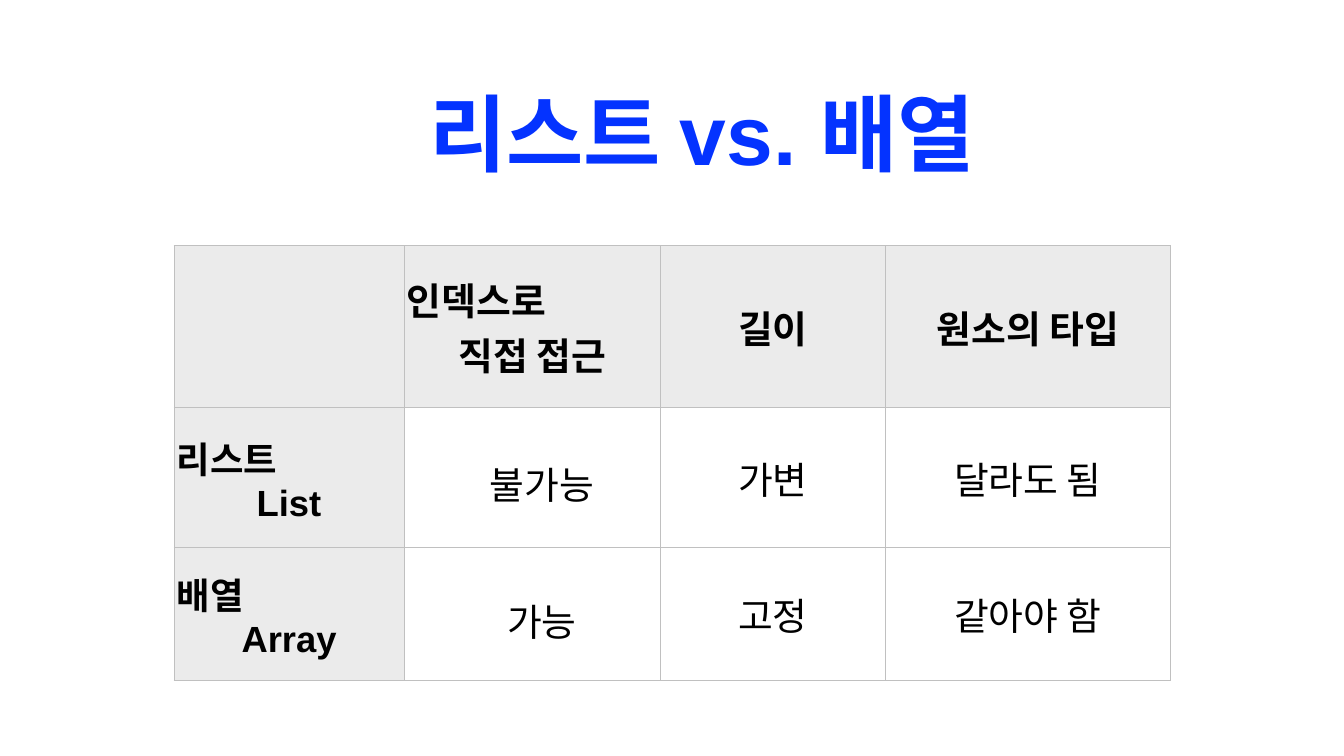
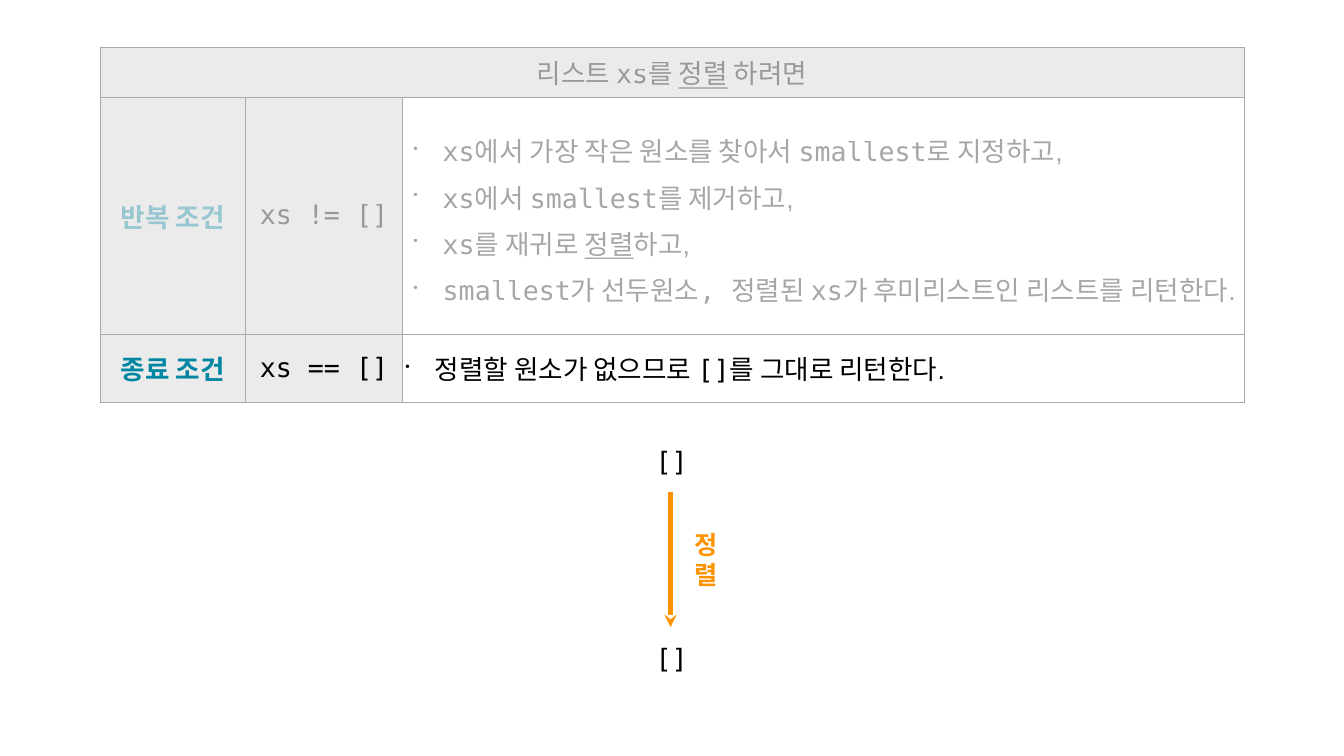
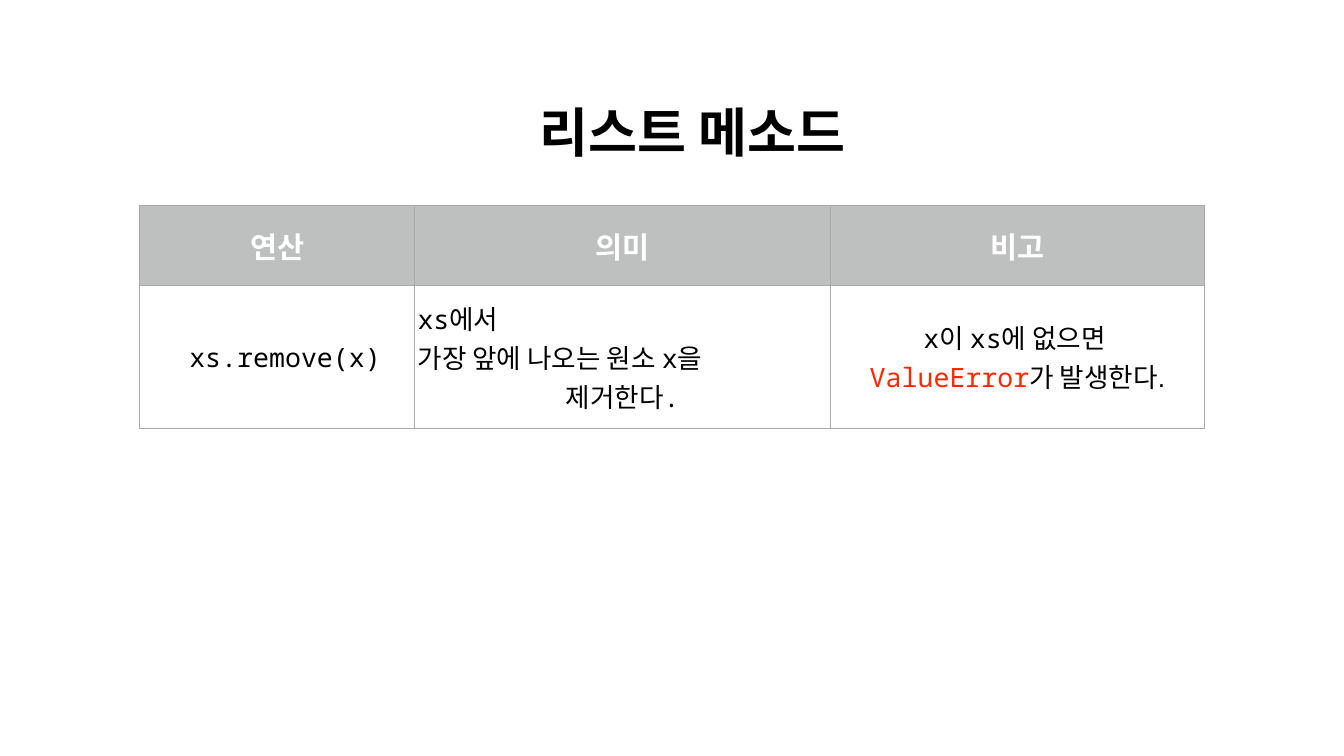
from lxml.etree import SubElement
from pptx import Presentation
from pptx.dml.color import RGBColor
from pptx.enum.shapes import MSO_CONNECTOR
from pptx.enum.text import MSO_ANCHOR, MSO_AUTO_SIZE, PP_ALIGN
from pptx.oxml.ns import qn
from pptx.util import Pt

BLACK = RGBColor(0x00, 0x00, 0x00)
WHITE = RGBColor(0xFF, 0xFF, 0xFF)
BLUE = RGBColor(0x04, 0x33, 0xFF)
TEAL = RGBColor(0x00, 0x86, 0xA2)
ORANGE = RGBColor(0xFE, 0x93, 0x01)
RED = RGBColor(0xFF, 0x26, 0x00)
PALE_GREY = RGBColor(0xEB, 0xEB, 0xEB)
HEADER_GREY = RGBColor(0xBE, 0xC0, 0xBF)
LIGHT_BORDER = RGBColor(0xC0, 0xC0, 0xC0)
DARK_BORDER = RGBColor(0xA9, 0xA9, 0xA9)

SANS = "Arial"
CODE = "DejaVu Sans Mono"
MONO = "Noto Sans Mono"


def write(frame, lines, size, color=BLACK, bold=False, align=PP_ALIGN.CENTER, faded=False):
    """Fill frame with lines, each a list of (text, font) runs."""
    for number, line in enumerate(lines):
        paragraph = frame.add_paragraph() if number else frame.paragraphs[0]
        paragraph.alignment = align
        for text, font in line:
            run = paragraph.add_run()
            run.text = text
            run.font.name = font
            run.font.size = Pt(size)
            run.font.bold = bold
            run.font.color.rgb = color
            if faded:
                rgb = next(run._r.rPr.iter(qn("a:srgbClr")))
                SubElement(rgb, qn("a:alpha"), val="34000")


def place_table(slide, left, top, widths, heights, border):
    """Add a white table with 1 pt borders and return it."""
    table = slide.shapes.add_table(len(heights), len(widths), Pt(left), Pt(top),
                                   Pt(sum(widths)), Pt(sum(heights))).table
    table.first_row = table.horz_banding = False
    for column, width in zip(table.columns, widths):
        column.width = Pt(width)
    for row, height in zip(table.rows, heights):
        row.height = Pt(height)
    for cell in table.iter_cells():
        cell.margin_left = cell.margin_right = cell.margin_top = cell.margin_bottom = Pt(4)
        cell.vertical_anchor = MSO_ANCHOR.MIDDLE
        for side in ("a:lnL", "a:lnR", "a:lnT", "a:lnB"):
            edge = SubElement(cell._tc.get_or_add_tcPr(), qn(side), w=str(Pt(1)))
            SubElement(SubElement(edge, qn("a:solidFill")), qn("a:srgbClr"), val=str(border))
        cell.fill.solid()
        cell.fill.fore_color.rgb = WHITE
    return table


deck = Presentation()
deck.slide_width, deck.slide_height = Pt(1920), Pt(1080)
comparison, sorting, methods = [deck.slides.add_slide(deck.slide_layouts[6]) for _ in range(3)]

# Titles
for slide, text, size, color, box in [
    (comparison, "리스트 vs. 배열", 120, BLUE, (572.4, 102.2, 860.4, 162.7)),
    (methods, "리스트 메소드", 76, BLACK, (737.3, 131, 504, 105.8)),
]:
    title = slide.shapes.add_textbox(*map(Pt, box))
    title.fill.solid()
    title.fill.fore_color.rgb = WHITE
    frame = title.text_frame
    frame.word_wrap = True
    frame.vertical_anchor = MSO_ANCHOR.BOTTOM
    frame.margin_left = frame.margin_right = frame.margin_top = frame.margin_bottom = Pt(4)
    write(frame, [[(text, SANS)]], size, color, bold=True)

# Slide 1: list against array
traits = place_table(comparison, 248.4, 350.6, [329, 365.8, 321.8, 406.8],
                     [231.8, 200.2, 189.4], LIGHT_BORDER)
trait_rows = [
    ["", "인덱스로\n직접 접근", "길이", "원소의 타입"],
    ["리스트\nList", "불가능", "가변", "달라도 됨"],
    ["배열\nArray", "가능", "고정", "같아야 함"],
]
for r, row in enumerate(trait_rows):
    for c, text in enumerate(row):
        cell = traits.cell(r, c)
        is_header = r == 0 or c == 0
        if is_header:
            cell.fill.fore_color.rgb = PALE_GREY
        if text:
            write(cell.text_frame, [[(line, SANS)] for line in text.split("\n")],
                  54 if c else 52, bold=is_header)
        paragraphs = cell.text_frame.paragraphs
        for paragraph in paragraphs[:-1]:
            paragraph.alignment = PP_ALIGN.LEFT
        if r and c == 1:
            paragraphs[0].line_spacing = 1.2
            paragraphs[0]._p.get_or_add_pPr().set("indent", str(Pt(27.4)))

# Slide 2: recursive sorting; the middle row holds five lines
rules = place_table(sorting, 142.6, 67.7, [208, 224.6, 1201.7], [71.3, 338.4, 97.2], DARK_BORDER)
rules.cell(0, 0).merge(rules.cell(0, 2))
heading = [("리스트 ", MONO), ("xs", CODE), ("를 ", MONO), ("정렬", MONO), (" 하려면", MONO)]
write(rules.cell(0, 0).text_frame, [heading], 38, faded=True)
rules.cell(0, 0).fill.fore_color.rgb = PALE_GREY

repeat_steps = [
    [("xs", CODE), ("에서 가장 작은 원소를 찾아서 ", SANS), ("smallest", CODE), ("로 지정하고,", SANS)],
    [("xs", CODE), ("에서 ", SANS), ("smallest", CODE), ("를 ", MONO), ("제거하고,", SANS)],
    [("xs", CODE), ("를 재귀로 ", SANS), ("정렬", SANS), ("하고,", SANS)],
    [("smallest가 선두원소, 정렬된 xs가 후미리스트인 리스트를", CODE), (" 리턴한다.", SANS)],
]
stop_steps = [[("정렬할 원소가 없으므로 ", SANS), ("[]", CODE), ("를 그대로 리턴한다.", SANS)]]
for r, condition, test, steps, margin, spacing, faded in [
    (1, "반복 조건", "xs != []", repeat_steps, 53.3, 1.2, True),
    (2, "종료 조건", "xs == []", stop_steps, 41.8, 1.0, False),
]:
    condition_cell, test_cell, steps_cell = [rules.cell(r, c) for c in range(3)]
    for cell in (condition_cell, test_cell):
        cell.fill.fore_color.rgb = PALE_GREY
    write(condition_cell.text_frame, [[(condition, SANS)]], 38, TEAL, bold=True, faded=faded)
    write(test_cell.text_frame, [[(test, CODE)]], 38, faded=faded)
    write(steps_cell.text_frame, steps, 38, align=PP_ALIGN.LEFT, faded=faded)
    for step in steps_cell.text_frame.paragraphs:
        step.line_spacing = spacing
        properties = step._p.get_or_add_pPr()
        properties.set("marL", str(Pt(margin)))
        properties.set("indent", str(-Pt(41.8)))
        SubElement(properties, qn("a:buSzPct"), val="50000")
        SubElement(properties, qn("a:buChar"), char="•")

for cell in rules.iter_cells():
    for paragraph in cell.text_frame.paragraphs:
        for run in paragraph.runs:
            if run.text == "정렬":
                run.font.underline = True

for text, font, size, color, bold, wraps, box in [
    ("[]", CODE, 38, BLACK, False, False, (931, 630.7, 58.3, 56.2)),
    ("정렬", SANS, 36, ORANGE, True, True, (986.4, 772.6, 74.9, 54)),
    ("[]", CODE, 38, BLACK, False, False, (931, 912.2, 58.3, 56.2)),
]:
    frame = sorting.shapes.add_textbox(*map(Pt, box)).text_frame
    frame.word_wrap = wraps
    frame.auto_size = MSO_AUTO_SIZE.NONE if wraps else MSO_AUTO_SIZE.SHAPE_TO_FIT_TEXT
    frame.vertical_anchor = MSO_ANCHOR.MIDDLE
    frame.margin_left = frame.margin_right = frame.margin_top = frame.margin_bottom = Pt(5.6)
    write(frame, [[(text, font)]], size, color, bold, PP_ALIGN.LEFT)

sort_arrow = sorting.shapes.add_connector(MSO_CONNECTOR.STRAIGHT, Pt(958), Pt(703.4),
                                          Pt(958), Pt(895.7))
sort_arrow.line.color.rgb = ORANGE
sort_arrow.line.width = Pt(6)
SubElement(sort_arrow.line._get_or_add_ln(), qn("a:tailEnd"), type="stealth")
SubElement(sort_arrow._element.spPr, qn("a:effectLst"))

# Slide 3: list methods
operations = place_table(methods, 199.4, 293, [393.1, 594, 534.2], [115.2, 203], DARK_BORDER)
for c, text in enumerate(["연산", "의미", "비고"]):
    cell = operations.cell(0, c)
    cell.fill.fore_color.rgb = HEADER_GREY
    write(cell.text_frame, [[(text, SANS)]], 42, WHITE, bold=True)

operation, meaning, remark = [operations.cell(1, c).text_frame for c in range(3)]
write(operation, [[(" xs.remove(x)", MONO)]], 38)
write(meaning, [[(line, MONO)] for line in ("xs에서 ", "가장 앞에 나오는 원소 x을 ", "제거한다.")], 38)
for paragraph in meaning.paragraphs[:-1]:
    paragraph.alignment = PP_ALIGN.LEFT
write(remark, [
    [("x", MONO), ("이 ", SANS), ("xs", MONO), ("에 없으면 ", SANS)],
    [("ValueError", MONO), ("가 발생한다.", SANS)],
], 38)
remark.paragraphs[1].runs[0].font.color.rgb = RED

deck.save("out.pptx")
